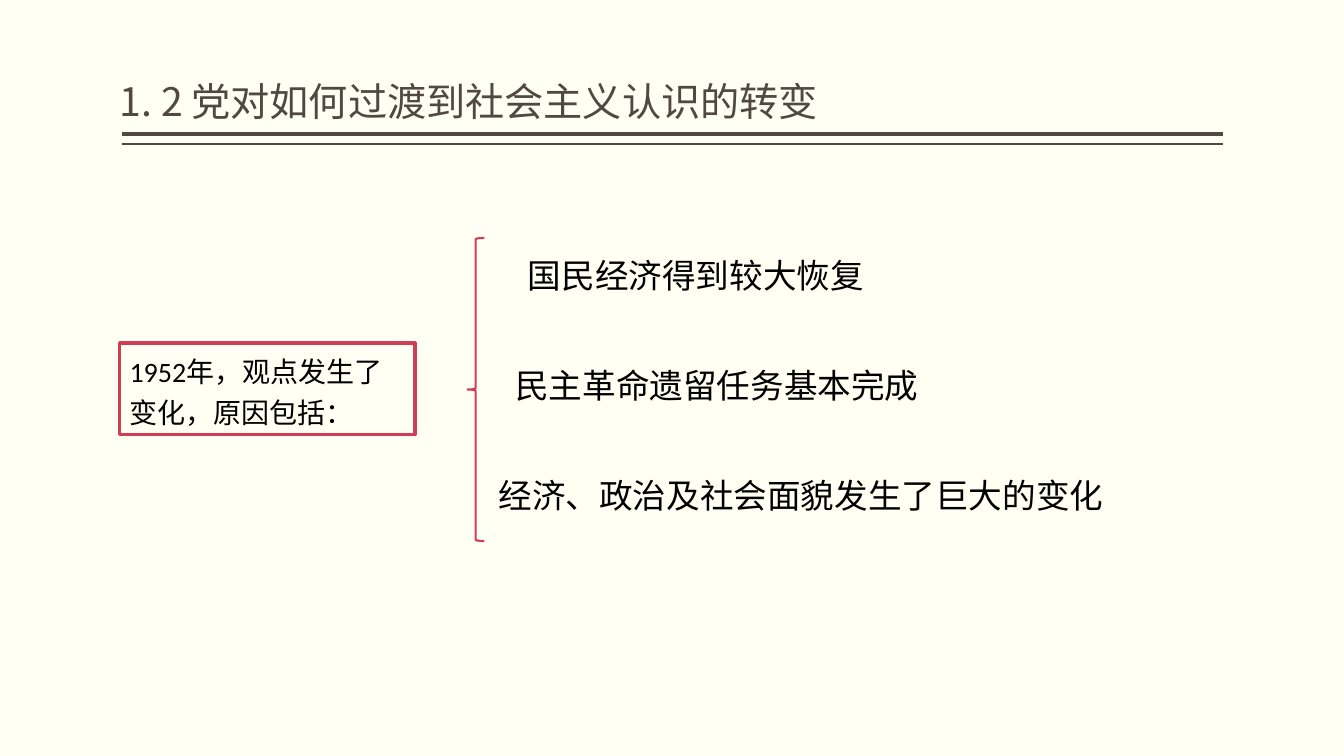
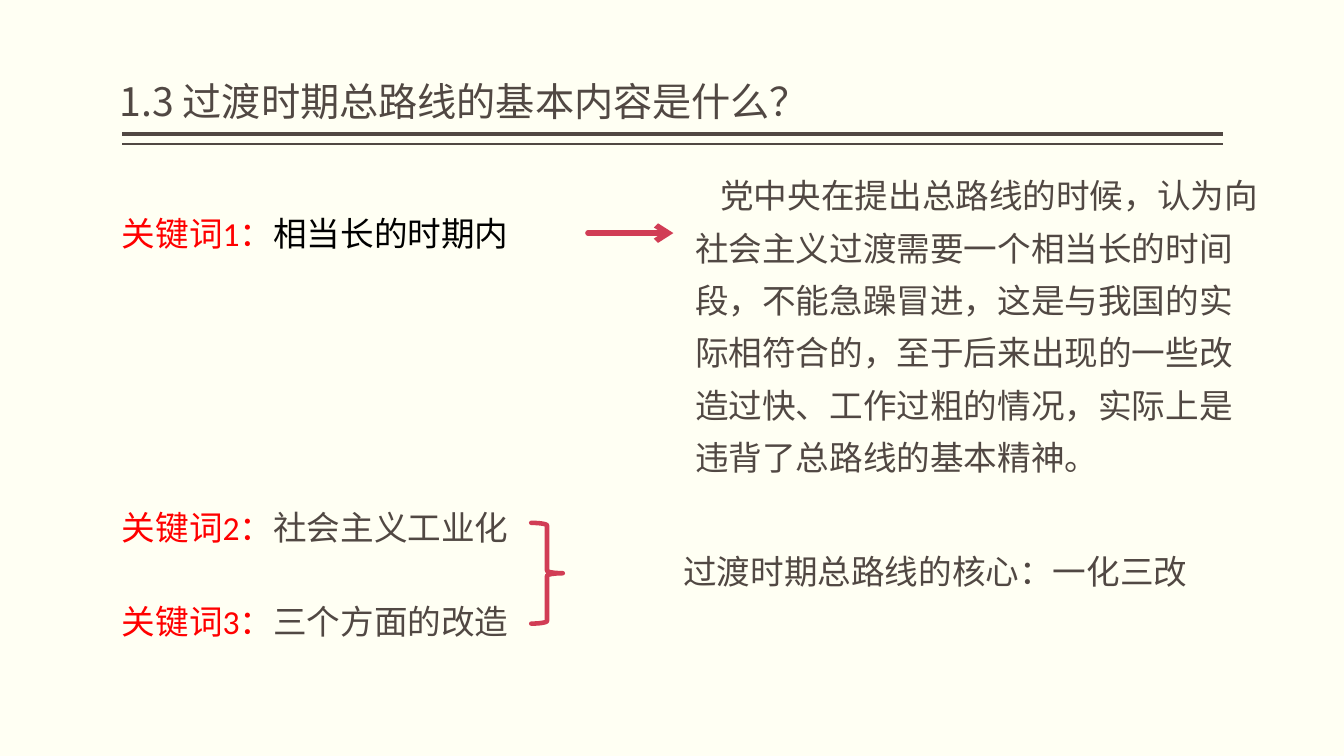
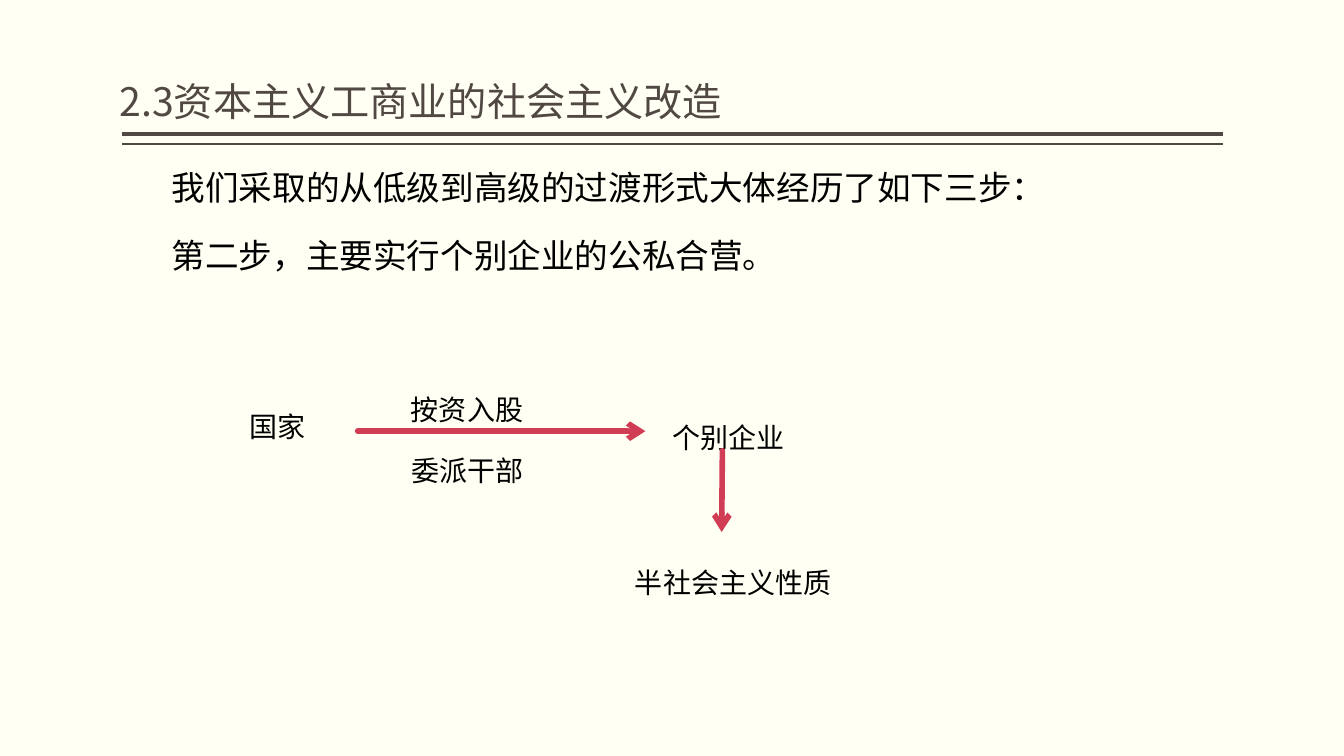
import pptx
import pptx.util
import pptx.dml.color
import pptx.enum.shapes
import pptx.enum.text
import pptx.oxml
import pptx.oxml.ns

Pt = pptx.util.Pt
SHAPES = pptx.enum.shapes.MSO_SHAPE
ANCHOR = pptx.enum.text.MSO_ANCHOR
AUTO_SIZE = pptx.enum.text.MSO_AUTO_SIZE

COLORS = {
    "paper": "FFFFF3",
    "brown": "514843",
    "accent": "D13D55",
    "keyword": "FF0000",
    "black": "000000",
}
LATIN_FONT = "Calibri"
CHINESE_FONT = "Noto Sans CJK SC"
RULES = [(96, 3), (103, 1)]  # top, weight
RULE_LEFT, RULE_RIGHT = 87, 873.5

REASONS_TITLE = "1. 2 党对如何过渡到社会主义认识的转变"
CHANGE = "1952年，观点发生了变化，原因包括："
REASONS = [  # left, width, text
    (370, 316, "国民经济得到较大恢复"),
    (361, 339, "民主革命遗留任务基本完成"),
    (349, 498, "经济、政治及社会面貌发生了巨大的变化"),
]
REASON_TOP, REASON_STEP = 170, 78.5

LINE_TITLE = "1.3 过渡时期总路线的基本内容是什么？"
KEYWORDS = [  # top, keyword, meaning, colour of the meaning
    (137, "关键词1：", "相当长的时期内", "black"),
    (347, "关键词2：", "社会主义工业化", "brown"),
    (414, "关键词3：", "三个方面的改造", "brown"),
]
EXPLANATION = (
    "党中央在提出总路线的时候，认为向社会主义过渡需要一个相当长的时间段，"
    "不能急躁冒进，这是与我国的实际相符合的，至于后来出现的一些改造过快、"
    "工作过粗的情况，实际上是违背了总路线的基本精神。"
)
CORE = "过渡时期总路线的核心：一化三改"

REFORM_TITLE = "2.3资本主义工商业的社会主义改造"
STATEMENTS = [  # top, text
    (104.5, "我们采取的从低级到高级的过渡形式大体经历了如下三步："),
    (152.5, "第二步，主要实行个别企业的公私合营。"),
]
FLOW_LABELS = [  # left, top, width, text
    (171.5, 279.5, 57.5, "国家"),
    (473, 287.5, 148, "个别企业"),
    (446.5, 391, 202, "半社会主义性质"),
    (286.5, 267, 116, "按资入股"),
    (286.5, 311, 99, "委派干部"),
]
FLOW_ARROWS = [(255.5, 308, 461, 308), (516, 322, 515.5, 380)]


def rgb(name):
    return pptx.dml.color.RGBColor.from_string(COLORS[name])


def style_line(line, color, weight):
    line.color.rgb = rgb(color)
    line.width = Pt(weight)


def write(shape, runs, size, spacing, font=LATIN_FONT, indent=0):
    """Fill a shape with one paragraph of (text, colour) runs."""
    frame = shape.text_frame
    frame.word_wrap = True
    frame.auto_size = AUTO_SIZE.SHAPE_TO_FIT_TEXT
    frame.vertical_anchor = ANCHOR.TOP
    paragraph = frame.paragraphs[0]
    paragraph.alignment = pptx.enum.text.PP_ALIGN.LEFT
    paragraph.line_spacing = spacing
    if indent:
        paragraph._p.get_or_add_pPr().set("indent", str(Pt(indent)))
    for text, color in runs:
        run = paragraph.add_run()
        run.text = text
        run.font.size = Pt(size)
        run.font.color.rgb = rgb(color)
        run.font.name = font
        properties = run._r.get_or_add_rPr()
        properties.set("lang", "zh-CN")
        east_asian = pptx.oxml.parse_xml(
            f'<a:ea {pptx.oxml.ns.nsdecls("a")} typeface="{CHINESE_FONT}"/>')
        properties.find(pptx.oxml.ns.qn("a:latin")).addnext(east_asian)


def add_text(slide, box, runs, size, spacing, **options):
    shape = slide.shapes.add_textbox(*map(Pt, box))
    write(shape, runs, size, spacing, **options)
    return shape


def add_line(slide, ends, color, weight):
    connector = slide.shapes.add_connector(
        pptx.enum.shapes.MSO_CONNECTOR.STRAIGHT, *map(Pt, ends))
    style_line(connector.line, color, weight)
    connector._element.spPr.append(
        pptx.oxml.parse_xml(f'<a:effectLst {pptx.oxml.ns.nsdecls("a")}/>'))
    return connector


def add_arrow(slide, ends):
    outline = add_line(slide, ends, "accent", 4).line._get_or_add_ln()
    outline.set("cap", "rnd")
    outline.append(pptx.oxml.parse_xml(
        f'<a:tailEnd {pptx.oxml.ns.nsdecls("a")} type="arrow"/>'))


def add_outline(slide, preset, box, weight):
    shape = slide.shapes.add_shape(preset, *map(Pt, box))
    shape.shadow.inherit = False
    shape.fill.background()
    style_line(shape.line, "accent", weight)
    shape.line._get_or_add_ln().set("cap", "rnd")
    return shape


def add_titled_slide(deck, title):
    slide = deck.slides.add_slide(deck.slide_layouts[6])
    for top, weight in RULES:
        add_line(slide, (RULE_RIGHT, top, RULE_LEFT, top), "brown", weight)
    heading = add_text(slide, (85.5, 6, 786, 86.5), [(title, "brown")], 28, 0.9,
                       font=CHINESE_FONT)
    frame = heading.text_frame
    frame.auto_size = AUTO_SIZE.NONE
    frame.vertical_anchor = ANCHOR.BOTTOM
    frame.margin_left = frame.margin_right = 0
    return slide


def build_reasons(deck):
    slide = add_titled_slide(deck, REASONS_TITLE)
    for row, (left, width, reason) in enumerate(REASONS):
        top = REASON_TOP + row * REASON_STEP
        add_text(slide, (left, top, width, 44.5), [(reason, "black")], 24, 1.3)
    add_outline(slide, SHAPES.LEFT_BRACE, (334, 170, 11.5, 216.5), 1.5)
    change = add_outline(slide, SHAPES.RECTANGLE, (85.5, 245, 211, 65.5), 2.25)
    write(change, [(CHANGE, "black")], 20, 1.2)


def build_general_line(deck):
    slide = add_titled_slide(deck, LINE_TITLE)
    for top, keyword, meaning, color in KEYWORDS:
        add_text(slide, (80, top, 299, 47.5),
                 [(keyword, "keyword"), (meaning, color)], 24, 1.4)
    add_arrow(slide, (420, 166.5, 481, 166.5))
    add_text(slide, (489.5, 113, 417, 234), [(EXPLANATION, "brown")], 24, 1.3,
             indent=18)
    add_outline(slide, SHAPES.RIGHT_BRACE, (379.5, 373.5, 22.5, 72), 3.25)
    add_text(slide, (481, 381, 417, 44.5), [(CORE, "brown")], 24, 1.3)


def build_reform(deck):
    slide = add_titled_slide(deck, REFORM_TITLE)
    for top, statement in STATEMENTS:
        add_text(slide, (115.5, top, 710, 47.5), [(statement, "black")], 24, 1.4)
    for left, top, width, label in FLOW_LABELS:
        add_text(slide, (left, top, width, 41), [(label, "black")], 20, 1.4)
    for ends in FLOW_ARROWS:
        add_arrow(slide, ends)


def main():
    deck = pptx.Presentation()
    deck.slide_width, deck.slide_height = Pt(960), Pt(540)
    paper = deck.slide_master.background.fill
    paper.solid()
    paper.fore_color.rgb = rgb("paper")
    build_reasons(deck)
    build_general_line(deck)
    build_reform(deck)
    deck.save("out.pptx")


if __name__ == "__main__":
    main()
